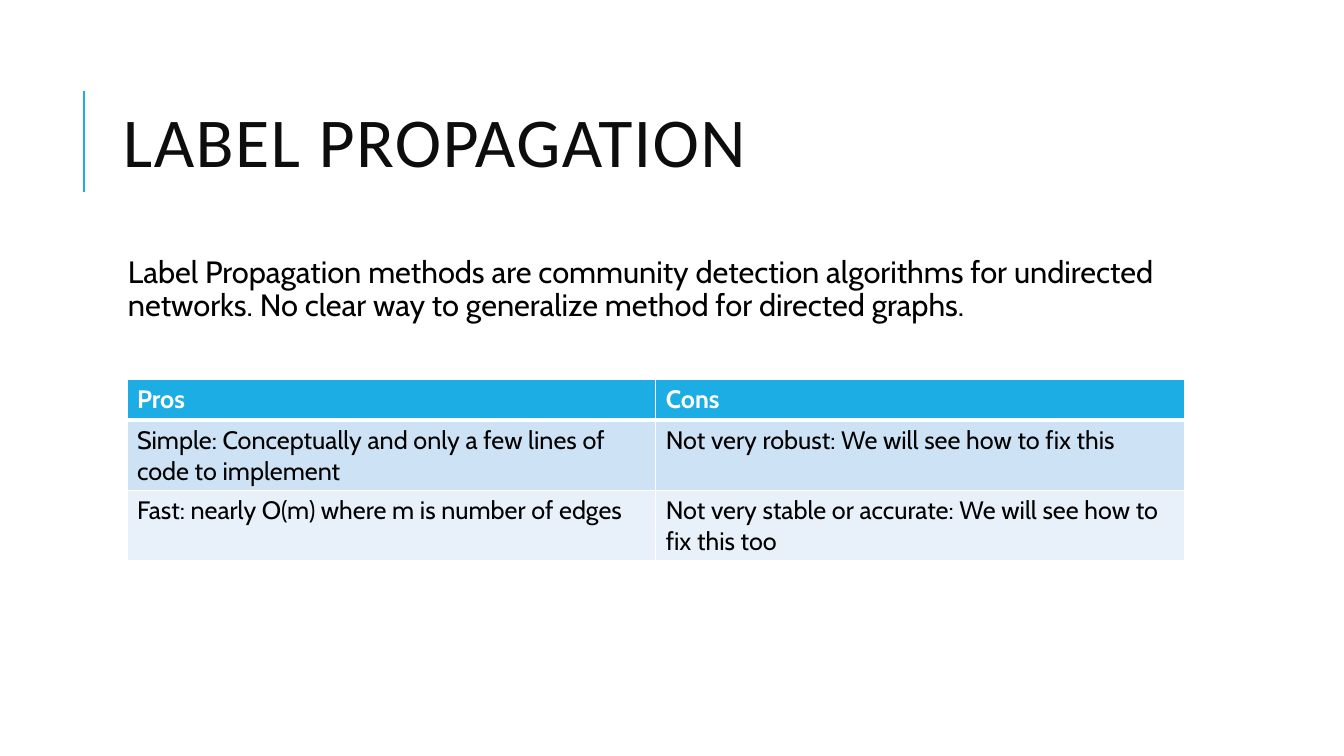
"""Build the label propagation slide with its pros and cons table."""
import pptx
import pptx.dml.color
import pptx.enum.shapes
import pptx.enum.text
import pptx.oxml
import pptx.oxml.ns
import pptx.util

TITLE = "LABEL PROPAGATION"
SUMMARY = ("Label Propagation methods are community detection algorithms for undirected "
           "networks. No clear way to generalize method for directed graphs.")
ROWS = [
    ("Pros", "Cons"),
    ("Simple: Conceptually and only a few lines of code to implement",
     "Not very robust: We will see how to fix this"),
    ("Fast: nearly O(m) where m is number of edges",
     "Not very stable or accurate: We will see how to fix this too"),
]
THEME = {
    "accent": "1CADE4", "white": "FFFFFF", "bands": ("1CADE4", "CDE3F5", "E8F1FA"),
    "title": {"name": "Calibri", "size": 50, "color": "0D0D0D", "bold": False},
    "body": {"name": "Cabin", "size": 22, "color": "000000", "bold": False},
    "head": {"name": "Cabin", "size": 18, "color": "FFFFFF", "bold": True},
    "cell": {"name": "Cabin", "size": 18, "color": "000000", "bold": False},
}
LEFT, WIDTH = 80.64, 765.36
TABLE_LEFT, TABLE_TOP, COL_WIDTH, ROW_HEIGHT = 90.72, 270.72, 377.7, 29.2
RULE_X, RULE_TOP, RULE_BOTTOM = 59.9, 65, 137

Pt = pptx.util.Pt
rgb = pptx.dml.color.RGBColor.from_string
ANCHOR = pptx.enum.text.MSO_ANCHOR


def set_all(obj, values):
    """Set every attribute named in a dict."""
    for name, value in values.items():
        setattr(obj, name, value)


def write(tf, text, style, **paragraph):
    """Put one styled paragraph in a text frame and return its run."""
    p = tf.paragraphs[0]
    set_all(p, {"alignment": pptx.enum.text.PP_ALIGN.LEFT, **paragraph})
    r = p.add_run()
    r.text = text
    set_all(r.font, {"name": style["name"], "size": Pt(style["size"]), "bold": style["bold"]})
    r.font.color.rgb = rgb(style["color"])
    return r


def add_title(s):
    """Place and format the title."""
    sp = s.shapes.title
    set_all(sp, {"left": Pt(LEFT), "top": Pt(46.08), "width": Pt(WIDTH), "height": Pt(118.08)})
    set_all(sp.text_frame, {"vertical_anchor": ANCHOR.MIDDLE, "word_wrap": True,
                            "auto_size": pptx.enum.text.MSO_AUTO_SIZE.NONE})
    r = write(sp.text_frame, TITLE, THEME["title"], line_spacing=0.8)
    r.font._element.set("spc", "100")


def add_rule(s):
    """Draw the accent line beside the title."""
    line = s.shapes.add_connector(pptx.enum.shapes.MSO_CONNECTOR.STRAIGHT,
                                  Pt(RULE_X), Pt(RULE_BOTTOM), Pt(RULE_X), Pt(RULE_TOP))
    line.line.width = Pt(1.5)
    line.line.color.rgb = rgb(THEME["accent"])
    line._element.spPr.append(pptx.oxml.parse_xml(
        f"<a:effectLst {pptx.oxml.ns.nsdecls('a')}/>"))


def add_summary(s):
    """Add the introductory paragraph."""
    tf = s.shapes.add_textbox(Pt(LEFT), Pt(180), Pt(WIDTH), Pt(316.8)).text_frame
    set_all(tf, {"word_wrap": True, "margin_left": Pt(10.8), "margin_right": Pt(3.6),
                 "margin_top": Pt(3.6), "margin_bottom": Pt(3.6)})
    write(tf, SUMMARY, THEME["body"], line_spacing=0.9, space_before=Pt(12), space_after=Pt(2))


def border(cell, widths):
    """Give a cell white edges of the stated widths in points."""
    tcPr = cell._tc.get_or_add_tcPr()
    for i, (side, width) in enumerate(widths.items()):
        tcPr.insert(i, pptx.oxml.parse_xml(
            f'<a:ln{side} {pptx.oxml.ns.nsdecls("a")} w="{Pt(width)}"><a:solidFill>'
            f'<a:srgbClr val="{THEME["white"]}"/></a:solidFill></a:ln{side}>'))


def add_pros_cons(s):
    """Add the table of pros and cons."""
    cols = len(ROWS[0])
    table = s.shapes.add_table(len(ROWS), cols, Pt(TABLE_LEFT), Pt(TABLE_TOP),
                               Pt(COL_WIDTH * cols), Pt(ROW_HEIGHT * len(ROWS))).table
    for i, (row, fill) in enumerate(zip(ROWS, THEME["bands"])):
        for j, text in enumerate(row):
            cell = table.cell(i, j)
            cell.fill.solid()
            cell.fill.fore_color.rgb = rgb(fill)
            border(cell, {"L": 1, "R": 1, "T": 3 if i == 1 else 1, "B": 3 if i == 0 else 1})
            write(cell.text_frame, text, THEME["cell" if i else "head"])


def main():
    """Build and save the slide."""
    prs = pptx.Presentation()
    set_all(prs, {"slide_width": Pt(960), "slide_height": Pt(540)})
    s = prs.slides.add_slide(prs.slide_layouts[5])
    for add in (add_rule, add_title, add_summary, add_pros_cons):
        add(s)
    prs.save("out.pptx")


if __name__ == "__main__":
    main()
